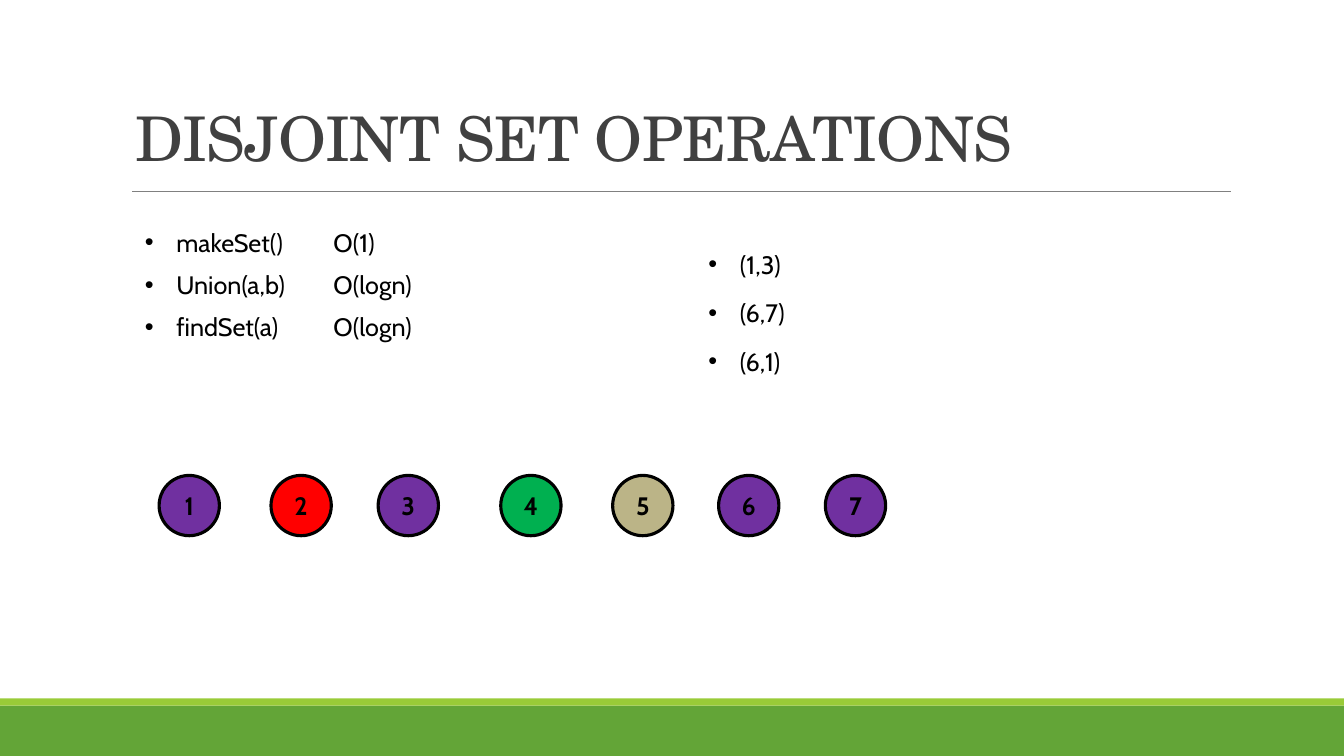
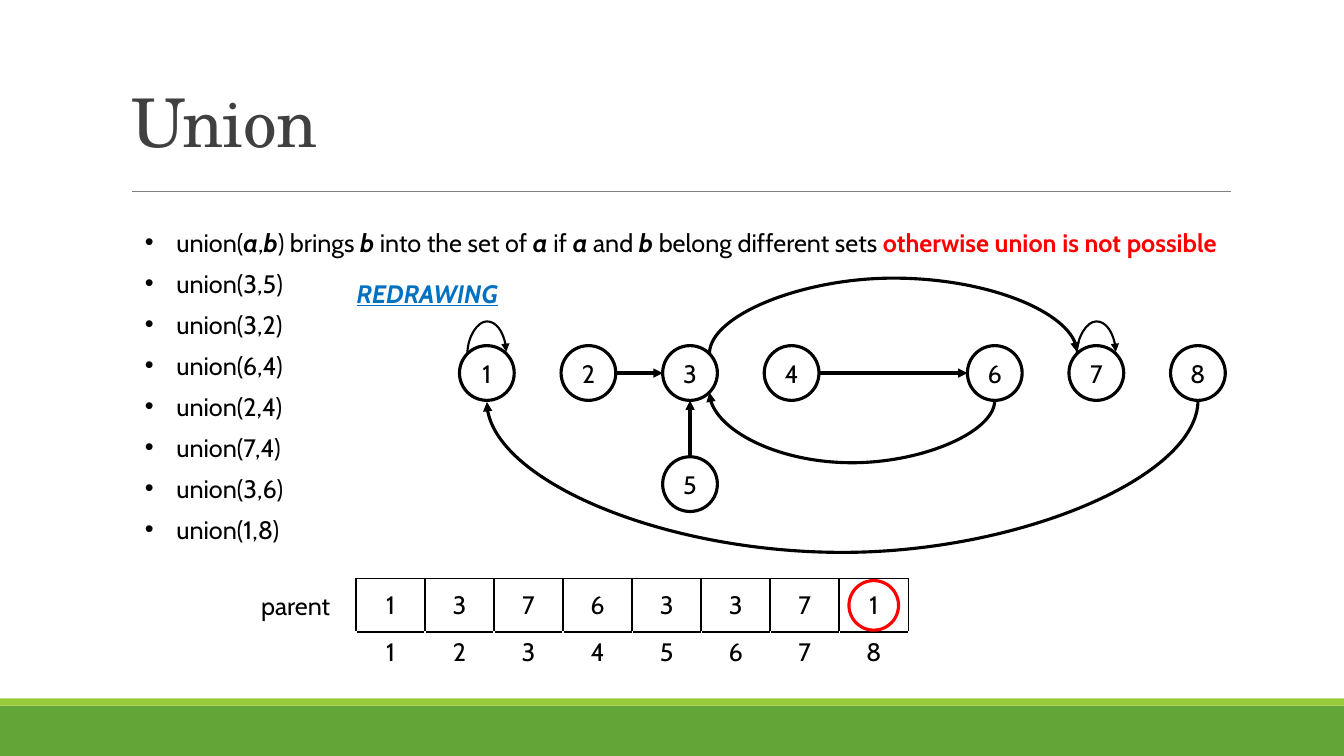
from lxml import etree
from pptx import Presentation
from pptx.dml.color import RGBColor
from pptx.enum import shapes, text
from pptx.oxml.ns import qn
from pptx.util import Cm, Pt

GREEN, LIME, GREY, DARK = "63A537", "99CB38", "808080", "404040"
BLACK, WHITE, RED, BLUE = "000000", "FFFFFF", "FF0000", "0070C0"
PURPLE, EMERALD, SAND = "7030A0", "00B050", "BBB487"
TITLE_FONT, BODY_FONT = "TeX Gyre Schola", "Cabin"
SLIDE_W, SLIDE_H = 33.87, 19.05
TITLE_ONLY, TITLE_BODY, TITLE_TWO_BODIES = 5, 1, 3


def rgb(hex_code):
    return RGBColor.from_string(hex_code)


def style(paragraph, size=18, color=BLACK, name=BODY_FONT, bold=False):
    font = paragraph.font
    font.name, font.size, font.bold = name, Pt(size), bold
    font.color.rgb = rgb(color)
    return font


def place(shape, left, top, width, height):
    shape.left, shape.top = Cm(left), Cm(top)
    shape.width, shape.height = Cm(width), Cm(height)


def add_preset(slide, kind, box, fill=None, line=None, weight=2.25):
    shape = slide.shapes.add_shape(kind, *map(Cm, box))
    shape.shadow.inherit = False
    if fill:
        shape.fill.solid()
        shape.fill.fore_color.rgb = rgb(fill)
    else:
        shape.fill.background()
    if line:
        shape.line.color.rgb = rgb(line)
        shape.line.width = Pt(weight)
    else:
        shape.line.fill.background()
    return shape


def add_line(slide, start, end, color=BLACK, weight=2.25, arrow=True,
             kind=shapes.MSO_CONNECTOR.STRAIGHT):
    line = slide.shapes.add_connector(kind, *map(Cm, (*start, *end)))
    line.line.color.rgb = rgb(color)
    line.line.width = Pt(weight)
    if arrow:
        etree.SubElement(line.line._get_or_add_ln(), qn("a:tailEnd"), type="triangle")
    etree.SubElement(line._element.spPr, qn("a:effectLst"))
    return line


def add_arc(slide, start, end, peak, weight=2.25):
    """Curved arrow that leaves vertically, turns at height peak and comes back."""
    (x1, y1), (x2, y2) = start, end
    width, height = abs(y2 - y1), abs(x2 - x1)
    left, top = (x1 + x2 - width) / 2, (y1 + y2 - height) / 2
    arc = add_line(slide, (left, top), (left + width, top + height), weight=weight,
                   kind=shapes.MSO_CONNECTOR.CURVE)
    xfrm = arc._element.spPr.find(qn("a:xfrm"))
    xfrm.set("rot", "5400000")
    if y1 > y2:
        xfrm.set("flipH", "1")
    if x1 < x2:
        xfrm.set("flipV", "1")
    bend = round((peak - y1) / (y2 - y1) * 100000)
    guides = arc._element.spPr.find(qn("a:prstGeom")).find(qn("a:avLst"))
    etree.SubElement(guides, qn("a:gd"), name="adj1", fmla=f"val {bend}")


def add_label(slide, wording, left, top, width, color=BLACK):
    label = slide.shapes.add_textbox(*map(Cm, (left, top, width, 1.02)))
    label.text_frame.word_wrap = True
    paragraph = label.text_frame.paragraphs[0]
    paragraph.text = wording
    return style(paragraph, color=color)


def add_circle(slide, left, top, size, wording, fill=WHITE, bold=False):
    circle = add_preset(slide, shapes.MSO_SHAPE.OVAL, (left, top, size, size), fill, BLACK)
    frame = circle.text_frame
    frame.margin_left = frame.margin_right = frame.margin_top = frame.margin_bottom = 0
    frame.vertical_anchor = text.MSO_ANCHOR.MIDDLE
    frame.word_wrap = False
    paragraph = frame.paragraphs[0]
    paragraph.text = wording
    paragraph.alignment = text.PP_ALIGN.CENTER
    style(paragraph, bold=bold)


def add_slide(deck, layout, heading, size, box):
    """Slide with the green bands, the rule and the heading."""
    slide = deck.slides.add_slide(deck.slide_layouts[layout])
    rectangle = shapes.MSO_SHAPE.RECTANGLE
    add_preset(slide, rectangle, (0, 17.78, SLIDE_W, 1.27), GREEN)
    add_preset(slide, rectangle, (0, 17.6, SLIDE_W, 0.18), LIME)
    add_line(slide, (3.33, 4.83), (31.01, 4.83), GREY, 0.5, arrow=False)
    title = slide.shapes.title
    place(title, *box)
    frame = title.text_frame
    frame.auto_size = text.MSO_AUTO_SIZE.NONE
    frame.vertical_anchor = text.MSO_ANCHOR.BOTTOM
    paragraph = frame.paragraphs[0]
    paragraph.text = heading
    paragraph.alignment = text.PP_ALIGN.LEFT
    paragraph.line_spacing = 0.85
    style(paragraph, size, DARK, TITLE_FONT)
    paragraph._p.pPr.find(qn("a:defRPr")).set("spc", "-50")
    return slide


def fill_list(body, box, items, gap, tab=None):
    """Bulleted list; in an item, text between bars is bold italic."""
    place(body, *box)
    frame = body.text_frame
    frame.auto_size = text.MSO_AUTO_SIZE.NONE
    for index, item in enumerate(items):
        paragraph = frame.paragraphs[0] if index == 0 else frame.add_paragraph()
        paragraph.space_before = Pt(gap if index else 0)
        properties = paragraph._p.get_or_add_pPr()
        properties.set("marL", str(Cm(0.79)))
        properties.set("indent", str(-Cm(0.79)))
        if tab:
            stops = etree.SubElement(properties, qn("a:tabLst"))
            etree.SubElement(stops, qn("a:tab"), pos=str(Cm(tab)), algn="l")
        style(paragraph)
        for part, wording in enumerate(item.split("|")):
            run = paragraph.add_run()
            run.text = wording
            if part % 2:
                run.font.bold = run.font.italic = True
    return frame


def add_set_row(slide, left, top):
    members = [(0, PURPLE), (2.82, RED), (5.52, PURPLE), (8.61, EMERALD),
               (11.43, SAND), (14.1, PURPLE), (16.79, PURPLE)]
    for number, (offset, color) in enumerate(members, 1):
        add_circle(slide, left + offset, top, 1.52, str(number), color, bold=True)


def add_union_graph(slide, left, top):
    size, pitch = 1.38, 2.56
    radius, diagonal, nudge = size / 2, 0.49, 0.04
    grid = {1: (0, 0), 2: (1, 0), 3: (2, 0), 4: (3, 0), 5: (2, 2.8),
            6: (5, 0), 7: (6, 0), 8: (7, 0)}
    for number, (column, drop) in grid.items():
        add_circle(slide, left + column * pitch, top + drop, size, str(number))

    def at(number, dx=0, dy=0):
        column, drop = grid[number]
        return left + column * pitch + radius + dx, top + drop + radius + dy

    add_line(slide, at(5, dy=-radius), at(3, dy=radius))
    for child, parent in ((2, 3), (4, 6)):
        add_line(slide, at(child, radius), at(parent, -radius))
    for root in (1, 7):
        add_arc(slide, at(root, -diagonal, -diagonal),
                at(root, diagonal, -diagonal - nudge), top - 0.61, 1.5)
    add_arc(slide, at(6, dy=radius), at(3, diagonal, diagonal), top + 2.95)
    add_arc(slide, at(3, diagonal, -diagonal),
            at(7, -diagonal, -diagonal - nudge), top - 1.7)
    add_arc(slide, at(8, dy=radius), at(1, dy=radius + nudge), top + 5.21)


def set_borders(cell, color, weight):
    properties = cell._tc.get_or_add_tcPr()
    for position, side in enumerate(("lnL", "lnR", "lnT", "lnB")):
        border = etree.Element(qn(f"a:{side}"), w=str(Pt(weight)))
        fill = etree.SubElement(border, qn("a:solidFill"))
        etree.SubElement(fill, qn("a:srgbClr"), val=color)
        properties.insert(position, border)


def add_parent_array(slide, left, top):
    """Parent values in boxes over their indices, the last one ringed."""
    parents, cell_width, heights = "13763371", 1.74, (1.35, 1.02)
    indices = "12345678"
    frame = slide.shapes.add_table(2, len(parents), Cm(left), Cm(top),
                                   Cm(cell_width * len(parents)), Cm(sum(heights)))
    table = frame.table
    table.first_row = table.horz_banding = False
    for column in table.columns:
        column.width = Cm(cell_width)
    for row, (digits, height) in enumerate(zip((parents, indices), heights)):
        table.rows[row].height = Cm(height)
        for column, digit in enumerate(digits):
            cell = table.cell(row, column)
            cell.margin_left = cell.margin_right = cell.margin_top = cell.margin_bottom = 0
            cell.vertical_anchor = text.MSO_ANCHOR.MIDDLE
            cell.fill.background()
            paragraph = cell.text_frame.paragraphs[0]
            paragraph.text = digit
            paragraph.alignment = text.PP_ALIGN.CENTER
            style(paragraph)
            if row == 0:
                set_borders(cell, BLACK, 1.25)
    add_label(slide, "parent", left - 2.64, top + 0.18, 2.34)
    ring = 1.25
    ring_left = left + cell_width * (len(parents) - 0.5) - ring / 2
    add_preset(slide, shapes.MSO_SHAPE.OVAL,
               (ring_left, top + (heights[0] - ring) / 2, ring, ring), line=RED)


def operations_slide(deck):
    slide = add_slide(deck, TITLE_TWO_BODIES, "DISJOINT SET OPERATIONS", 44,
                      (3.15, 0.48, 29.11, 4.04))
    costs, pairs = list(slide.placeholders)[1:]
    fill_list(costs, (3.4, 5.59, 9, 3.4),
              ["makeSet()\tO(1)", "Union(a,b)\tO(logn)", "findSet(a)\tO(logn)"], 8.7, tab=4.75)
    fill_list(pairs, (17.6, 6.15, 4, 3.6), ["(1,3)", "(6,7)", "(6,1)"], 13)
    add_set_row(slide, 4.01, 11.98)


def union_slide(deck):
    slide = add_slide(deck, TITLE_BODY, "Union", 48, (3.05, 0.15, 27.94, 4.04))
    rule = ("union(|a|,|b|) brings |b |into the set of |a |if |a |and |b|"
            " belong different sets ")
    calls = ["3,5", "3,2", "6,4", "2,4", "7,4", "3,6", "1,8"]
    frame = fill_list(slide.placeholders[1], (3.4, 5.59, 29.16, 8.6),
                      [rule] + [f"union({pair})" for pair in calls], 7.7)
    warning = frame.paragraphs[0].add_run()
    warning.text = "otherwise union is not possible"
    warning.font.bold = True
    warning.font.color.rgb = rgb(RED)
    add_union_graph(slide, 11.58, 8.71)
    add_parent_array(slide, 8.97, 14.58)
    heading_font = add_label(slide, "REDRAWING", 8.74, 6.88, 4.4, BLUE)
    heading_font.bold = heading_font.italic = heading_font.underline = True


def main():
    deck = Presentation()
    deck.slide_width, deck.slide_height = Cm(SLIDE_W), Cm(SLIDE_H)
    operations_slide(deck)
    union_slide(deck)
    deck.save("out.pptx")


if __name__ == "__main__":
    main()
